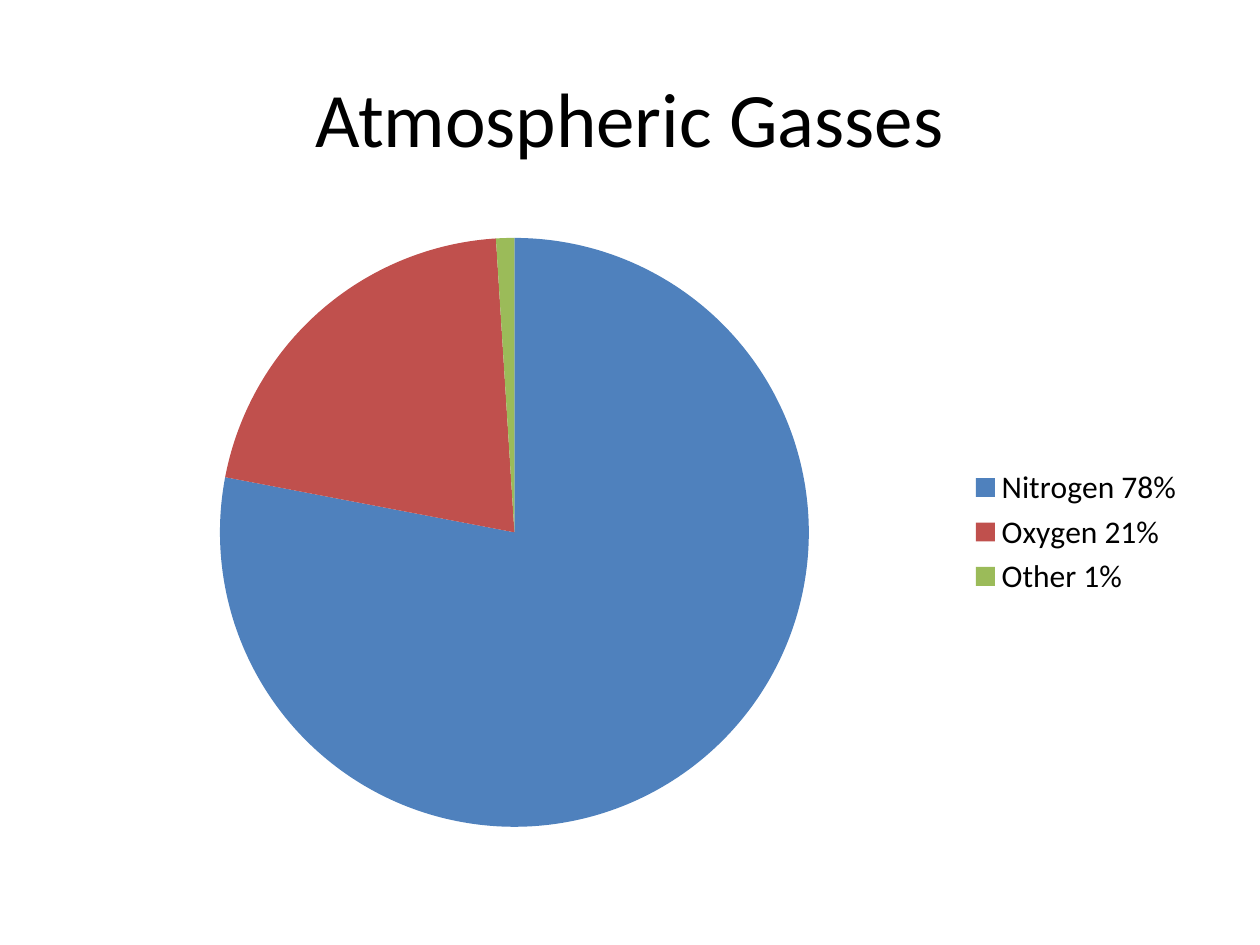
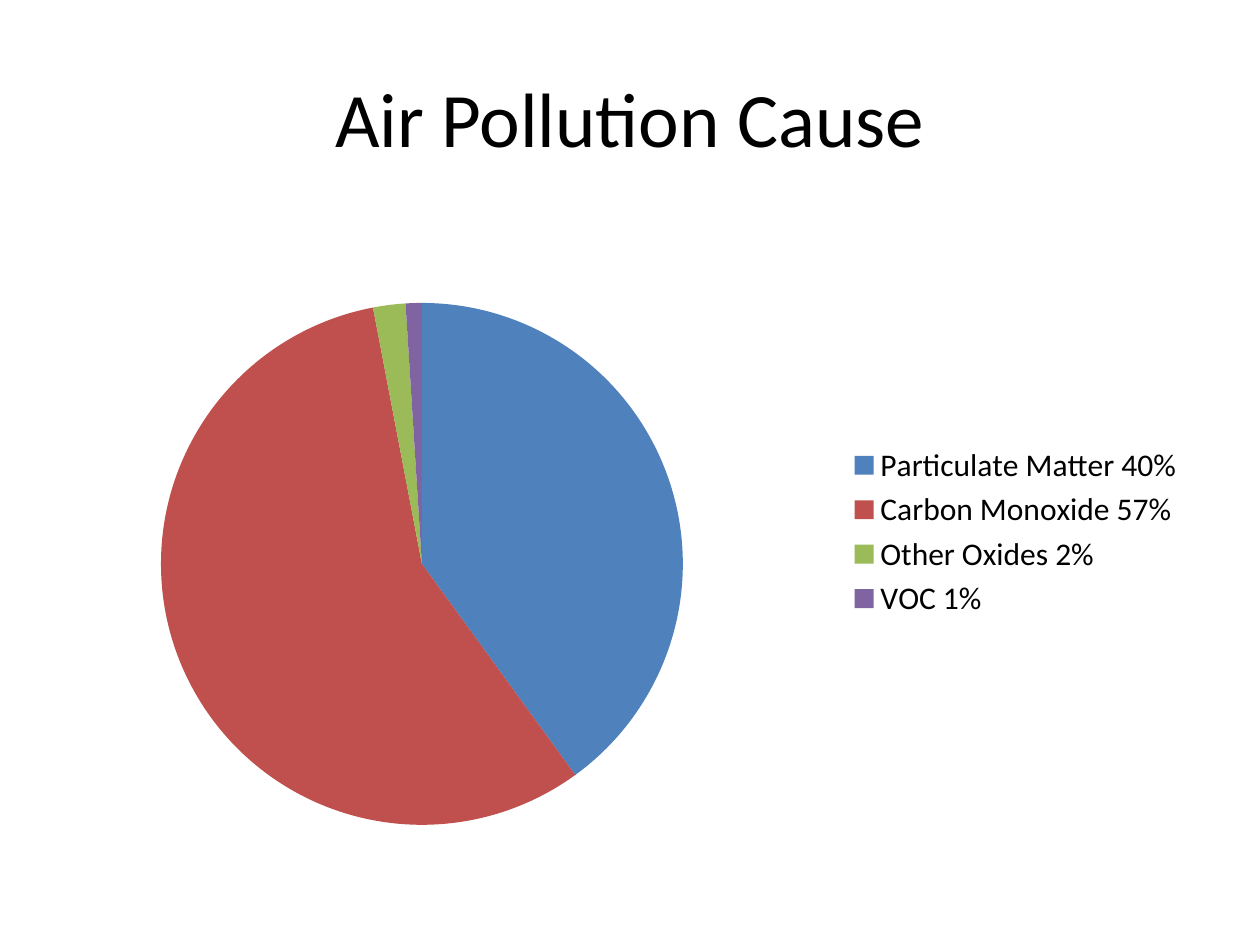
import pptx
import pptx.chart.data
import pptx.dml.color
import pptx.enum.chart
import pptx.enum.text
import pptx.oxml
import pptx.oxml.ns
import pptx.util

EMU_PER_PX = 914400 / 126
SLIDE_WIDTH, SLIDE_HEIGHT = 1260, 945
MARGIN = 63
CONTENT_WIDTH = SLIDE_WIDTH - 2 * MARGIN
TITLE_TOP, TITLE_HEIGHT = 38, 157
CHART_TOP, CHART_HEIGHT = 220, 624

FONT = "Calibri"
BLACK = pptx.dml.color.RGBColor(0x00, 0x00, 0x00)
WHITE = pptx.dml.color.RGBColor(0xFF, 0xFF, 0xFF)
BLUE = pptx.dml.color.RGBColor(0x4F, 0x81, 0xBD)
RED = pptx.dml.color.RGBColor(0xC0, 0x50, 0x4D)
GREEN = pptx.dml.color.RGBColor(0x9B, 0xBB, 0x59)
PURPLE = pptx.dml.color.RGBColor(0x80, 0x64, 0xA2)
SLICE_COLORS = (BLUE, RED, GREEN, PURPLE)


def px(length):
    return pptx.util.Emu(round(length * EMU_PER_PX))


class Deck:
    def __init__(self):
        self.presentation = pptx.Presentation()
        self.presentation.slide_width = px(SLIDE_WIDTH)
        self.presentation.slide_height = px(SLIDE_HEIGHT)
        self.slide = None

    def add_slide(self, title):
        blank_layout = self.presentation.slide_layouts[6]
        self.slide = self.presentation.slides.add_slide(blank_layout)
        self.slide.background.fill.solid()
        self.slide.background.fill.fore_color.rgb = WHITE
        self.add_title(title)

    def style_font(self, font, size):
        font.name = FONT
        font.size = pptx.util.Pt(size)
        font.color.rgb = BLACK

    def add_title(self, text):
        box = self.slide.shapes.add_textbox(
            px(MARGIN), px(TITLE_TOP), px(CONTENT_WIDTH), px(TITLE_HEIGHT))
        frame = box.text_frame
        frame.word_wrap = True
        frame.vertical_anchor = pptx.enum.text.MSO_ANCHOR.MIDDLE
        frame.text = text
        paragraph = frame.paragraphs[0]
        paragraph.alignment = pptx.enum.text.PP_ALIGN.CENTER
        self.style_font(paragraph.font, 44)

    def add_pie(self, series_name, shares, left, top, diameter):
        """Add a pie of percentages; left and top place its circle on the slide."""
        data = pptx.chart.data.CategoryChartData()
        data.categories = [f"{name} {share}%" for name, share in shares.items()]
        data.add_series(series_name, shares.values())
        chart = self.slide.shapes.add_chart(
            pptx.enum.chart.XL_CHART_TYPE.PIE, px(MARGIN), px(CHART_TOP),
            px(CONTENT_WIDTH), px(CHART_HEIGHT), data).chart
        chart.has_title = False
        self.style_font(chart.font, 18)
        chart.has_legend = True
        chart.legend.position = pptx.enum.chart.XL_LEGEND_POSITION.RIGHT
        chart.legend.include_in_layout = False
        plot = chart.plots[0]
        plot.vary_by_categories = True
        for index, color in enumerate(SLICE_COLORS[:len(shares)]):
            fill = plot.series[0].points[index].format.fill
            fill.solid()
            fill.fore_color.rgb = color
        self.place_plot(chart, left, top, diameter)

    def place_plot(self, chart, left, top, diameter):
        fractions = {
            "x": (left - MARGIN) / CONTENT_WIDTH,
            "y": (top - CHART_TOP) / CHART_HEIGHT,
            "w": diameter / CONTENT_WIDTH,
            "h": diameter / CHART_HEIGHT,
        }
        modes = '<c:xMode val="edge"/><c:yMode val="edge"/>'
        sizes = "".join(f'<c:{key} val="{value:.4f}"/>' for key, value in fractions.items())
        layout = pptx.oxml.parse_xml(
            f'<c:layout {pptx.oxml.ns.nsdecls("c")}><c:manualLayout>'
            f'<c:layoutTarget val="inner"/>{modes}{sizes}</c:manualLayout></c:layout>')
        plot_area = chart.element.find(".//" + pptx.oxml.ns.qn("c:plotArea"))
        for automatic_layout in plot_area.findall(pptx.oxml.ns.qn("c:layout")):
            plot_area.remove(automatic_layout)
        plot_area.insert(0, layout)


def main():
    deck = Deck()

    deck.add_slide("Atmospheric Gasses")
    deck.add_pie("Column1", {"Nitrogen": 78, "Oxygen": 21, "Other": 1},
                 left=220, top=238, diameter=589)

    deck.add_slide("Air Pollution Cause")
    pollutants = {"Particulate Matter": 40, "Carbon Monoxide": 57,
                  "Other Oxides": 2, "VOC": 1}
    deck.add_pie("Series 1", pollutants, left=161, top=303, diameter=522)

    deck.presentation.save("out.pptx")


if __name__ == "__main__":
    main()
